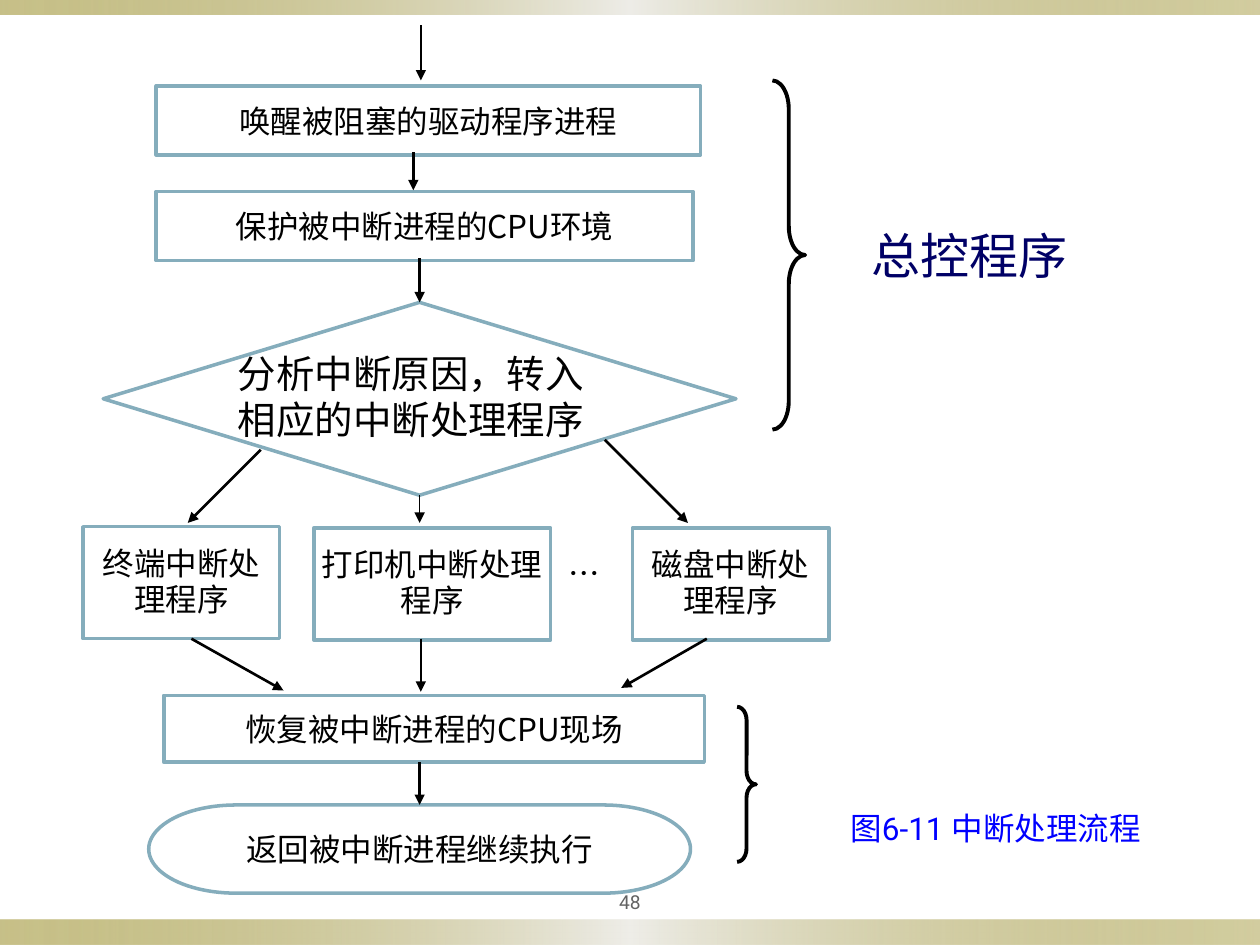
from typing import NamedTuple, Optional

from lxml.etree import SubElement
from pptx import Presentation
from pptx.dml.color import RGBColor
from pptx.enum.shapes import MSO_CONNECTOR, MSO_SHAPE
from pptx.enum.text import MSO_ANCHOR, PP_ALIGN
from pptx.oxml import parse_xml
from pptx.oxml.ns import nsdecls, qn
from pptx.util import Pt

CJK = "Noto Sans CJK SC"
BLACK, WHITE, BORDER = "000000", "FFFFFF", "85ADBC"


class Box(NamedTuple):
    name: str
    x: float
    y: float
    w: float
    h: float
    text: str = ""
    kind: MSO_SHAPE = MSO_SHAPE.RECTANGLE
    inset: tuple = (7.2, 0.7)
    spacing: Optional[float] = None
    wrap: bool = True


class Label(NamedTuple):
    x: float
    y: float
    w: float
    h: float
    text: str
    size: float
    color: str = BLACK
    font: str = CJK
    align: PP_ALIGN = PP_ALIGN.LEFT
    inset: tuple = (7.2, 3.6)
    anchor: MSO_ANCHOR = MSO_ANCHOR.TOP


class Arrow(NamedTuple):
    x1: float
    y1: float
    x2: float
    y2: float
    width: float = 1.5
    begin: str = ""  # box whose bottom the arrow leaves
    end: str = ""    # box whose top the arrow enters


class Brace(NamedTuple):
    x: float
    y: float
    w: float
    h: float
    curve: float


def rgb(color: str) -> RGBColor:
    return RGBColor.from_string(color)


def write(sp, text: str, size: float, color: str, font: str, align: PP_ALIGN,
          inset: tuple, anchor: MSO_ANCHOR, wrap: bool = True,
          spacing: Optional[float] = None) -> None:
    tf = sp.text_frame
    tf.text = text
    tf.word_wrap = wrap
    tf.vertical_anchor = anchor
    tf.margin_left = tf.margin_right = Pt(inset[0])
    tf.margin_top = tf.margin_bottom = Pt(inset[1])
    p = tf.paragraphs[0]
    p.alignment = align
    p.line_spacing = spacing
    r = p.runs[0]
    r.font.size = Pt(size)
    r.font.name = font
    r.font.color.rgb = rgb(color)
    SubElement(r.font._element, qn("a:ea")).set("typeface", CJK)


def add_shape(slide, kind: MSO_SHAPE, x: float, y: float, w: float, h: float):
    sp = slide.shapes.add_shape(kind, Pt(x), Pt(y), Pt(w), Pt(h))
    sp.shadow.inherit = False
    return sp


def draw_band(slide, y: float, h: float) -> None:
    sp = add_shape(slide, MSO_SHAPE.RECTANGLE, 0, y, 720, h)
    sp.line.fill.background()
    stops = "".join(
        f'<a:gs pos="{pos * 1000}"><a:srgbClr val="{color}">'
        f'<a:alpha val="{alpha * 1000}"/></a:srgbClr></a:gs>'
        for pos, color, alpha in
        ((0, "918415", 50), (50, "EEEDE8", 100), (100, "918415", 40)))
    sp._element.spPr.find(qn("a:prstGeom")).addnext(parse_xml(
        f'<a:gradFill {nsdecls("a")}><a:gsLst>{stops}</a:gsLst>'
        '<a:lin ang="0" scaled="0"/></a:gradFill>'))


def draw_box(slide, b: Box):
    sp = add_shape(slide, b.kind, b.x, b.y, b.w, b.h)
    sp.fill.solid()
    sp.fill.fore_color.rgb = rgb(WHITE)
    sp.line.color.rgb = rgb(BORDER)
    sp.line.width = Pt(2)
    if b.text:
        write(sp, b.text, 18, BLACK, CJK, PP_ALIGN.CENTER, b.inset,
              MSO_ANCHOR.MIDDLE, b.wrap, b.spacing)
    return sp


def draw_label(slide, t: Label) -> None:
    sp = slide.shapes.add_textbox(Pt(t.x), Pt(t.y), Pt(t.w), Pt(t.h))
    write(sp, t.text, t.size, t.color, t.font, t.align, t.inset, t.anchor)


def draw_arrow(slide, a: Arrow, boxes: dict) -> None:
    c = slide.shapes.add_connector(MSO_CONNECTOR.STRAIGHT, Pt(a.x1), Pt(a.y1),
                                   Pt(a.x2), Pt(a.y2))
    if a.begin:
        c.begin_connect(boxes[a.begin], 2)
    if a.end:
        c.end_connect(boxes[a.end], 0)
    c.line.color.rgb = rgb(BLACK)
    c.line.width = Pt(a.width)
    SubElement(c.line._get_or_add_ln(), qn("a:tailEnd")).set("type", "triangle")
    SubElement(c._element.spPr, qn("a:effectLst"))


def draw_brace(slide, b: Brace) -> None:
    sp = add_shape(slide, MSO_SHAPE.RIGHT_BRACE, b.x, b.y, b.w, b.h)
    sp.adjustments[0] = b.curve
    sp.fill.background()
    sp.line.color.rgb = rgb(BLACK)
    sp.line.width = Pt(2.25)


BOXES = [
    Box("wake", 89.3, 49, 311, 39.6, "唤醒被阻塞的驱动程序进程"),
    Box("protect", 89.3, 109.4, 306.7, 39.6, "保护被中断进程的CPU环境"),
    Box("restore", 93.6, 397.4, 308.9, 38.2, "恢复被中断进程的CPU现场"),
    Box("return", 85, 460, 309.6, 50.4, "返回被中断进程继续执行",
        MSO_SHAPE.FLOWCHART_TERMINATOR, (7.2, 3.6), wrap=False),
    Box("analyse", 59, 172.8, 361.6, 110.2, kind=MSO_SHAPE.FLOWCHART_DECISION),
    Box("terminal", 47.5, 301, 112.3, 64, "终端中断处理程序",
        inset=(4.3, 0.7), spacing=0.95),
    Box("printer", 179.3, 301.7, 135.4, 64, "打印机中断处理程序",
        inset=(1.4, 0.7), spacing=0.95),
    Box("disk", 361.4, 301.7, 112.3, 64, "磁盘中断处理程序",
        inset=(4.3, 0.7), spacing=0.95),
]
ARROWS = [
    Arrow(240.5, 14.4, 240.5, 46),
    Arrow(236.2, 87.1, 236.2, 108.7),
    Arrow(239.8, 147.6, 239.8, 172.8, end="analyse"),
    Arrow(149, 257, 107.3, 298.8),
    Arrow(239.8, 283, 239.8, 298.8, 0.75, begin="analyse"),
    Arrow(345.6, 251.3, 393.1, 298.8),
    Arrow(109.4, 365, 162, 394.6),
    Arrow(240.5, 365, 240.5, 395.3),
    Arrow(403.9, 365, 355, 393.1),
    Arrow(239.8, 435.6, 239.8, 460, end="return"),
]
BRACES = [
    Brace(441.4, 46, 18.7, 199.5, 0.88),
    Brace(421.2, 403.9, 10.8, 88.6, 0.7),
]
LABELS = [
    Label(324, 504, 72, 22.3, "48", 11, "636363", "Roboto", PP_ALIGN.CENTER,
          (3.6, 3.6), MSO_ANCHOR.MIDDLE),
    Label(128.9, 196.6, 217.4, 59.8, "分析中断原因，转入相应的中断处理程序", 22),
    Label(452.2, 458.6, 233.3, 28.8, "图6-11 中断处理流程", 18, "0000FF",
          "Roboto", PP_ALIGN.CENTER, (1.4, 3.6)),
    Label(491, 125.3, 136.8, 41, "总控程序", 28, "000066"),
    Label(317.5, 313.2, 49.7, 36, "…", 18),
]


def main() -> None:
    prs = Presentation()
    prs.slide_width, prs.slide_height = Pt(720), Pt(540)
    slide = prs.slides.add_slide(prs.slide_layouts[6])

    # Bands along the slide's edges
    draw_band(slide, 525.6, 14.4)
    draw_band(slide, 0, 8.6)

    # Flowchart
    boxes = {b.name: draw_box(slide, b) for b in BOXES}
    for a in ARROWS:
        draw_arrow(slide, a, boxes)

    # Braces and free text
    for b in BRACES:
        draw_brace(slide, b)
    for t in LABELS:
        draw_label(slide, t)

    prs.save("out.pptx")


if __name__ == "__main__":
    main()
